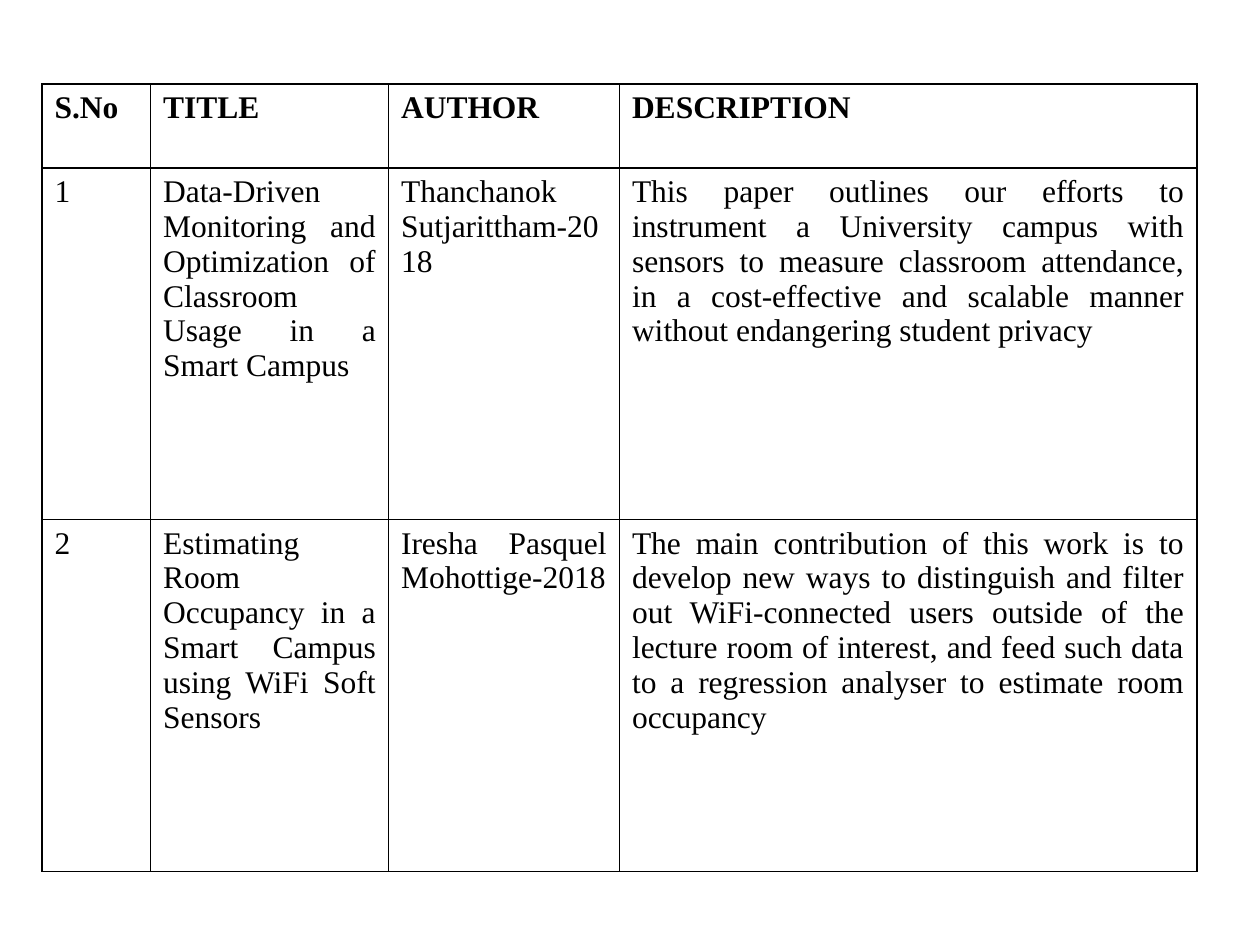
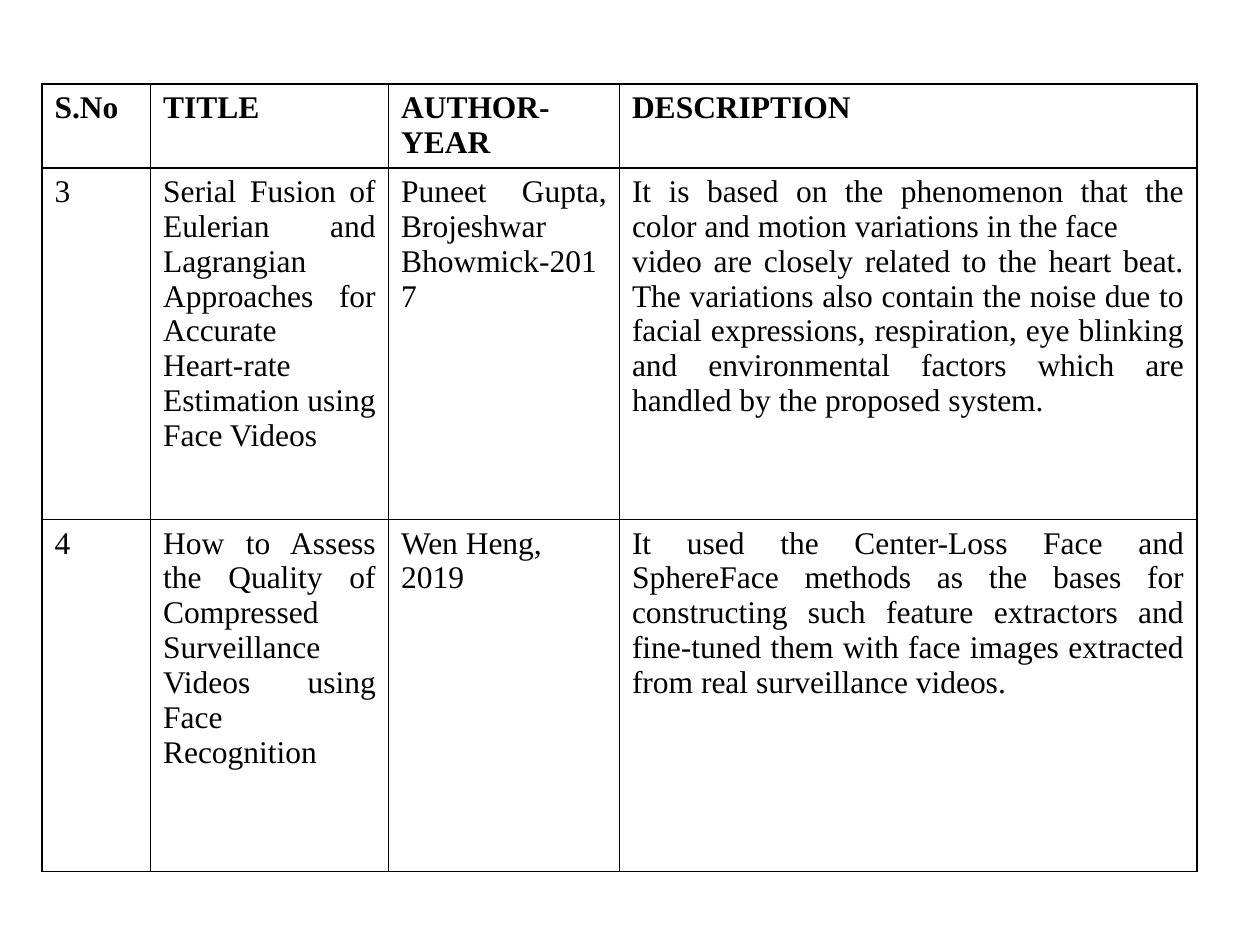
import pptx
import pptx.dml.color
import pptx.enum.text
import pptx.oxml
import pptx.oxml.ns
import pptx.util

Pt = pptx.util.Pt

# Shared look
INK = "000000"
FONT = {"name": "Times New Roman", "size": Pt(18)}
LEFT, TOP = 24, 48
COLS = [62, 136, 132, 330]
ROWS = [48, 201, 201]

# One table per slide; a line break in a text starts a new paragraph
FIRST = [
    ["S.No", "TITLE", "AUTHOR", "DESCRIPTION"],
    ["1",
     "Data-Driven Monitoring and Optimization of Classroom Usage in a Smart Campus",
     "Thanchanok Sutjarittham-2018",
     "This paper outlines our efforts to instrument a University campus with "
     "sensors to measure classroom attendance, in a cost-effective and scalable "
     "manner without endangering student privacy"],
    ["2",
     "Estimating Room Occupancy in a Smart Campus using WiFi Soft Sensors",
     "Iresha Pasquel Mohottige-2018",
     "The main contribution of this work is to develop new ways to distinguish "
     "and filter out WiFi-connected users outside of the lecture room of "
     "interest, and feed such data to a regression analyser to estimate room "
     "occupancy"],
]
SECOND = [
    ["S.No", "TITLE", "AUTHOR-YEAR", "DESCRIPTION"],
    ["3",
     "Serial Fusion of Eulerian and Lagrangian Approaches for Accurate\n"
     "Heart-rate Estimation using Face Videos",
     "Puneet Gupta, Brojeshwar Bhowmick-2017",
     "It is based on the phenomenon that the color and motion variations in the face\n"
     "video are closely related to the heart beat. The variations also contain "
     "the noise due to facial expressions, respiration, eye blinking and "
     "environmental factors which are handled by the proposed system."],
    ["4",
     "How to Assess the Quality of Compressed\n"
     "Surveillance Videos using Face Recognition",
     "Wen Heng,\n2019",
     "It used the Center-Loss Face and SphereFace methods as the bases for "
     "constructing such feature extractors and fine-tuned them with face images "
     "extracted from real surveillance videos."],
]


def paint(color, code):
    color.rgb = pptx.dml.color.RGBColor.from_string(code)


def border(cell, width=1):
    """Draw a solid line on all four sides of a cell."""
    props = cell._tc.get_or_add_tcPr()
    for place, side in enumerate(("lnL", "lnR", "lnT", "lnB")):
        props.insert(place, pptx.oxml.parse_xml(
            f'<a:{side} {pptx.oxml.ns.nsdecls("a")} w="{int(Pt(width))}">'
            f'<a:solidFill><a:srgbClr val="{INK}"/></a:solidFill></a:{side}>'))


def write(cell, text, bold):
    cell.text = text
    for para in cell.text_frame.paragraphs:
        para.alignment = pptx.enum.text.PP_ALIGN.JUSTIFY
        for run in para.runs:
            for key, value in {**FONT, "bold": bold}.items():
                setattr(run.font, key, value)
            paint(run.font.color, INK)


def add_grid(slide, data):
    frame = slide.shapes.add_table(
        len(ROWS), len(COLS), Pt(LEFT), Pt(TOP), Pt(sum(COLS)), Pt(sum(ROWS)))
    table = frame.table
    for col, width in zip(table.columns, COLS):
        col.width = Pt(width)
    for row, height in zip(table.rows, ROWS):
        row.height = Pt(height)
    # Fill the cells, with a bold head row
    for r, line in enumerate(data):
        for c, text in enumerate(line):
            cell = table.cell(r, c)
            write(cell, text, bold=r == 0)
            border(cell)
            cell.fill.background()


def main():
    deck = pptx.Presentation()
    deck.slide_width, deck.slide_height = Pt(720), Pt(540)
    blank = deck.slide_layouts[6]
    for data in (FIRST, SECOND):
        add_grid(deck.slides.add_slide(blank), data)
    deck.save("out.pptx")


if __name__ == "__main__":
    main()
